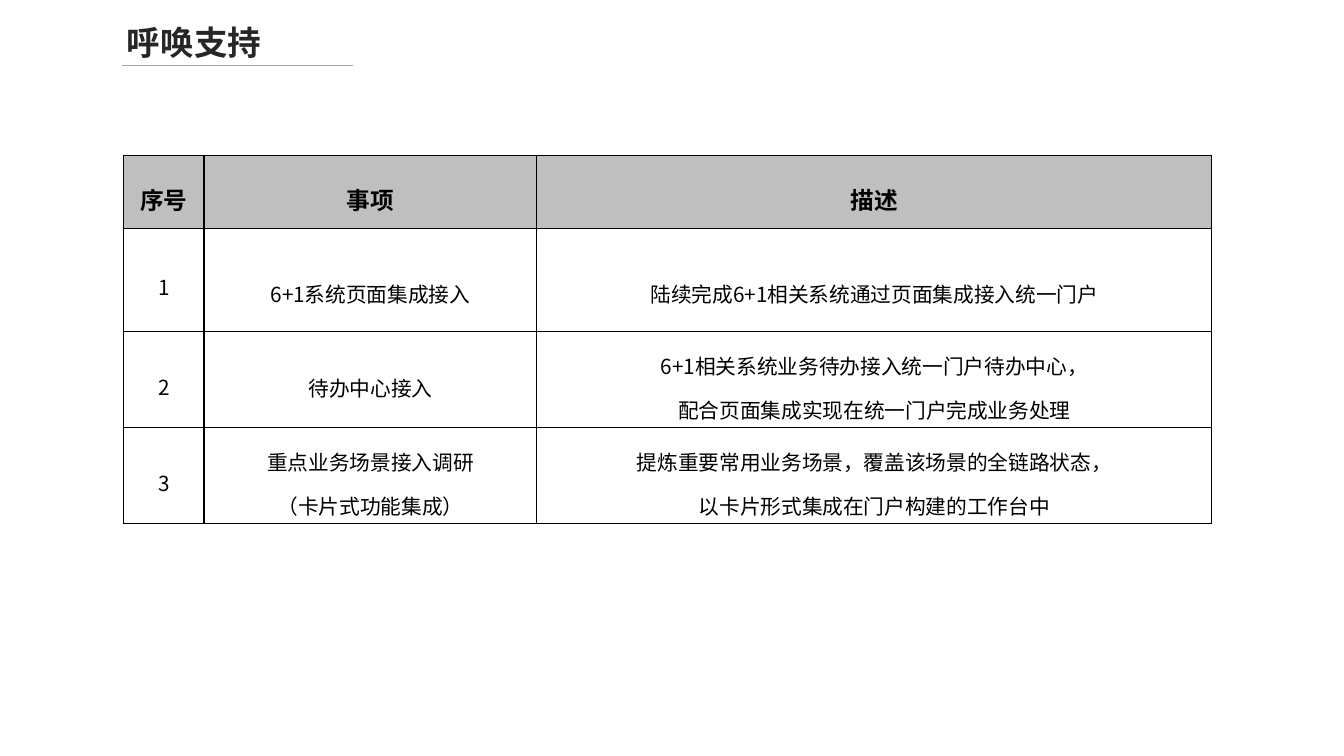
from dataclasses import dataclass

from lxml import etree
from pptx import Presentation
from pptx.dml.color import RGBColor
from pptx.enum.shapes import MSO_CONNECTOR
from pptx.enum.text import MSO_ANCHOR, MSO_AUTO_SIZE, PP_ALIGN
from pptx.oxml.ns import qn
from pptx.util import Cm, Pt

STRAIGHT = MSO_CONNECTOR.STRAIGHT
MIDDLE = MSO_ANCHOR.MIDDLE
CENTER, LEFT = PP_ALIGN.CENTER, PP_ALIGN.LEFT
FIT_SHAPE = MSO_AUTO_SIZE.SHAPE_TO_FIT_TEXT


@dataclass(frozen=True)
class Theme:
    font: str = "Noto Sans CJK SC"
    title: str = "262626"
    text: str = "000000"
    rule: str = "A6A6A6"
    border: str = "000000"
    header_fill: str = "BFBFBF"
    title_size: float = 24
    header_size: float = 16.9
    body_size: float = 14.8
    rule_width: float = 0.5
    border_width: float = 1


class Deck:
    def __init__(self, theme):
        self.theme = theme
        self.prs = Presentation()
        self.prs.slide_width, self.prs.slide_height = Cm(33.87), Cm(19.05)
        self.s = self.prs.slides.add_slide(self.prs.slide_layouts[6])

    def set_text(self, tf, text, size, color, bold=False, align=LEFT, spacing=1.0):
        """Fill a text frame, one paragraph per line of text."""
        tf.text = text
        for p in tf.paragraphs:
            p.alignment, p.line_spacing = align, spacing
            font = p.font
            font.name, font.size, font.bold = self.theme.font, Pt(size), bold
            font.color.rgb = RGBColor.from_string(color)
            ea = etree.SubElement(p._p.pPr.find(qn("a:defRPr")), qn("a:ea"))
            ea.set("typeface", self.theme.font)

    def rule(self, x1, x2, y):
        line = self.s.shapes.add_connector(STRAIGHT, Cm(x1), Cm(y), Cm(x2), Cm(y))
        line.line.color.rgb = RGBColor.from_string(self.theme.rule)
        line.line.width = Pt(self.theme.rule_width)
        etree.SubElement(line._element.spPr, qn("a:effectLst"))

    def title(self, text, x, y, w, h):
        tf = self.s.shapes.add_textbox(Cm(x), Cm(y), Cm(w), Cm(h)).text_frame
        tf.margin_left = tf.margin_right = tf.margin_top = tf.margin_bottom = Cm(0.08)
        tf.vertical_anchor, tf.auto_size = MIDDLE, FIT_SHAPE
        tf.word_wrap = False
        self.set_text(tf, text, self.theme.title_size, self.theme.title, bold=True)

    def borders(self, cell):
        """Draw the four cell edges, which must come before the fill in the XML."""
        tcPr = cell._tc.get_or_add_tcPr()
        for i, side in enumerate(("lnL", "lnR", "lnT", "lnB")):
            ln = etree.Element(qn(f"a:{side}"), w=str(Pt(self.theme.border_width)))
            fill = etree.SubElement(ln, qn("a:solidFill"))
            etree.SubElement(fill, qn("a:srgbClr"), val=self.theme.border)
            tcPr.insert(i, ln)

    def table(self, rows, x, y, widths, heights, spacings):
        """Add a table with a header row; spacings holds line spacing per row for text columns."""
        frame = self.s.shapes.add_table(len(rows), len(widths), Cm(x), Cm(y),
                                        Cm(sum(widths)), Cm(sum(heights)))
        table = frame.table
        table.first_row = table.horz_banding = False
        for column, width in zip(table.columns, widths):
            column.width = Cm(width)
        for r, (row, height) in enumerate(zip(rows, heights)):
            table.rows[r].height = Cm(height)
            for c, text in enumerate(row):
                spacing = spacings[r] if c else spacings[0]
                self.cell(table.cell(r, c), text, r == 0, spacing)

    def cell(self, cell, text, header, spacing):
        theme = self.theme
        cell.margin_left = cell.margin_right = cell.margin_top = Cm(0.03)
        cell.margin_bottom = 0
        cell.vertical_anchor = MIDDLE
        if header:
            cell.fill.solid()
            cell.fill.fore_color.rgb = RGBColor.from_string(theme.header_fill)
        else:
            cell.fill.background()
        self.borders(cell)
        size = theme.header_size if header else theme.body_size
        self.set_text(cell.text_frame, text, size, theme.text, header, CENTER, spacing)


ROWS = [
    ("序号", "事项", "描述"),
    ("1", "6+1系统页面集成接入", "陆续完成6+1相关系统通过页面集成接入统一门户"),
    ("2", "待办中心接入",
     "6+1相关系统业务待办接入统一门户待办中心，\n配合页面集成实现在统一门户完成业务处理"),
    ("3", "重点业务场景接入调研\n（卡片式功能集成）",
     "提炼重要常用业务场景，覆盖该场景的全链路状态，\n以卡片形式集成在门户构建的工作台中"),
]


def main():
    deck = Deck(Theme())
    deck.rule(3.07, 8.89, 1.65)
    deck.title("呼唤支持", 3.12, 0.48, 3.56, 1.17)
    deck.table(ROWS, 3.12, 3.91, widths=(2.02, 8.39, 17.01),
               heights=(1.84, 2.6, 2.42, 2.42), spacings=(1.4, 1.9, 1.5, 1.5))
    deck.prs.save("out.pptx")


if __name__ == "__main__":
    main()
